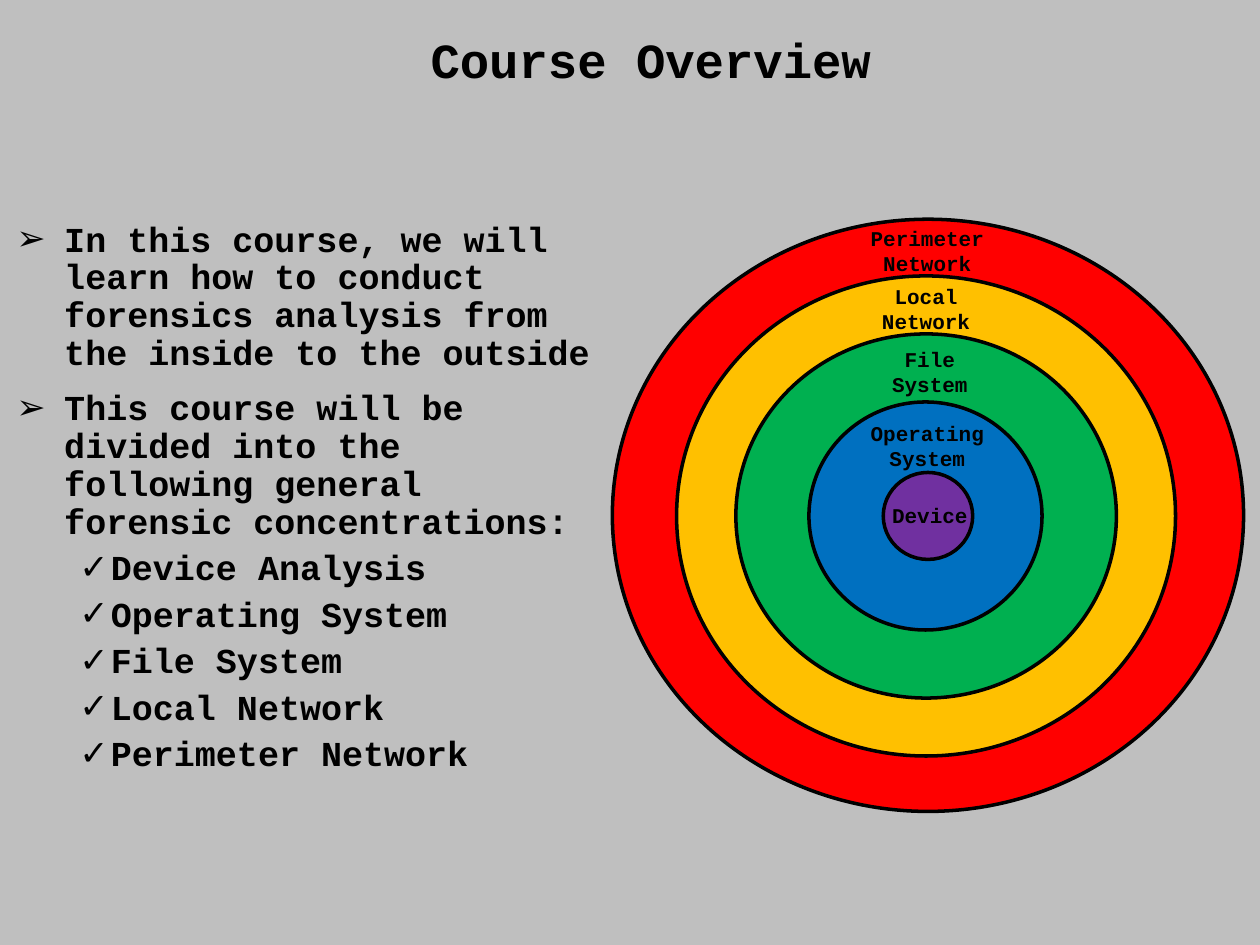
import pptx
import pptx.util
import pptx.dml.color
import pptx.enum.shapes
import pptx.enum.text
from lxml import etree

Inches, Pt = pptx.util.Inches, pptx.util.Pt
ALIGN = pptx.enum.text.PP_ALIGN
ANCHOR = pptx.enum.text.MSO_ANCHOR
FIT = pptx.enum.text.MSO_AUTO_SIZE

TITLE = "Course Overview"
POINTS = [
    (0, "In this course, we will learn how to conduct forensics analysis "
        "from the inside to the outside"),
    (0, "This course will be divided into the following general "
        "forensic concentrations:"),
    (1, "Device Analysis"),
    (1, "Operating System"),
    (1, "File System"),
    (1, "Local Network"),
    (1, "Perimeter Network"),
]
# bullet, left margin, hanging indent, space before
LEVELS = [("➢", 0.38, -0.38, 10), ("✓", 0.75, -0.25, 5)]
# ring box, fill, label lines, label centre, label top
RINGS = [
    ((4.86, 1.74, 5.01, 4.7), "FF0000", ["Perimeter", "Network"], 7.36, 1.74),
    ((5.37, 2.19, 3.96, 3.81), "FFC000", ["Local", "Network"], 7.35, 2.2),
    ((5.84, 2.65, 3.02, 2.89), "00B050", ["File", "System"], 7.38, 2.7),
    ((6.42, 3.19, 1.85, 1.81), "0070C0", ["Operating", "System"], 7.36, 3.29),
    ((7.01, 3.75, 0.71, 0.69), "7030A0", ["Device"], 7.38, 3.94),
]
FONT = {"name": "Courier New", "bold": True}
INK = "000000"


def color(code):
    return pptx.dml.color.RGBColor.from_string(code)


def paint(fill, code):
    fill.solid()
    fill.fore_color.rgb = color(code)


def apply(item, values):
    for key, value in values.items():
        setattr(item, key, value)


def place(shape, box):
    keys = ("left", "top", "width", "height")
    apply(shape, dict(zip(keys, map(Inches, box))))


def write(para, text, size):
    run = para.add_run()
    run.text = text
    apply(run.font, {**FONT, "size": Pt(size)})
    run.font.color.rgb = color(INK)


def paras(frame, count):
    """Yield count paragraphs, the first being the one already there."""
    for i in range(count):
        yield frame.add_paragraph() if i else frame.paragraphs[0]


def bullet(para, char, left, hang):
    props = para._p.get_or_add_pPr()
    props.set("marL", str(Inches(left)))
    props.set("indent", str(Inches(hang)))
    tag = "{http://schemas.openxmlformats.org/drawingml/2006/main}buChar"
    etree.SubElement(props, tag).set("char", char)


def add_title(slide):
    title = slide.shapes.title
    place(title, (2.27, 0, 5.79, 0.94))
    frame = title.text_frame
    apply(frame, {"vertical_anchor": ANCHOR.MIDDLE, "auto_size": FIT.NONE})
    para = frame.paragraphs[0]
    para.alignment = ALIGN.CENTER
    write(para, TITLE, 28)


def add_points(slide):
    body = slide.placeholders[1]
    place(body, (0.13, 1.76, 4.58, 4.58))
    frame = body.text_frame
    apply(frame, {"margin_left": 0, "margin_top": 0, "margin_right": 0,
                  "margin_bottom": 0, "auto_size": FIT.NONE,
                  "vertical_anchor": ANCHOR.TOP})
    for i, para in enumerate(paras(frame, len(POINTS))):
        level, text = POINTS[i]
        char, left, hang, gap = LEVELS[level]
        bullet(para, char, left, hang)
        apply(para, {"level": level, "line_spacing": 0.9,
                     "space_before": Pt(gap if i else 0)})
        write(para, text, 20)


def add_ring(slide, box, fill):
    kind = pptx.enum.shapes.MSO_SHAPE.OVAL
    ring = slide.shapes.add_shape(kind, *map(Inches, box))
    ring.shadow.inherit = False
    paint(ring.fill, fill)
    paint(ring.line.fill, INK)
    ring.line.width = Pt(2)


def add_label(slide, lines, mid, top):
    wide = 0.2 + 0.1 * max(map(len, lines))
    high = 0.1 + 0.2 * len(lines)
    box = (mid - wide / 2, top, wide, high)
    frame = slide.shapes.add_textbox(*map(Inches, box)).text_frame
    apply(frame, {"word_wrap": False, "auto_size": FIT.SHAPE_TO_FIT_TEXT})
    for para, line in zip(paras(frame, len(lines)), lines):
        para.alignment = ALIGN.CENTER
        write(para, line, 12)


def main():
    deck = pptx.Presentation()
    apply(deck, {"slide_width": Inches(10), "slide_height": Inches(7.5)})
    slide = deck.slides.add_slide(deck.slide_layouts[1])
    paint(slide.background.fill, "BFBFBF")
    add_title(slide)
    add_points(slide)
    for box, fill, *rest in RINGS:
        add_ring(slide, box, fill)
    for box, fill, lines, mid, top in RINGS:
        add_label(slide, lines, mid, top)
    deck.save("out.pptx")


if __name__ == "__main__":
    main()
